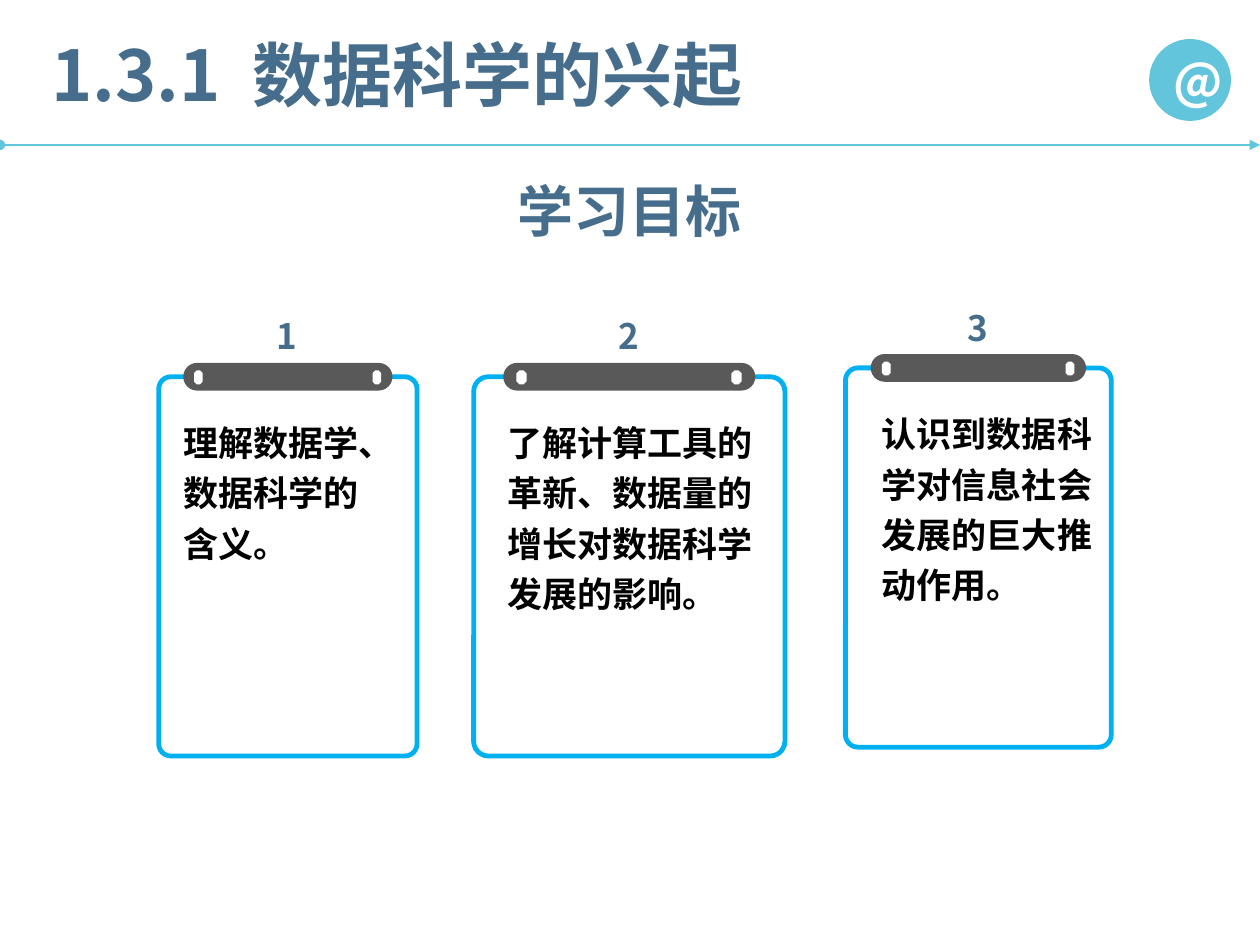
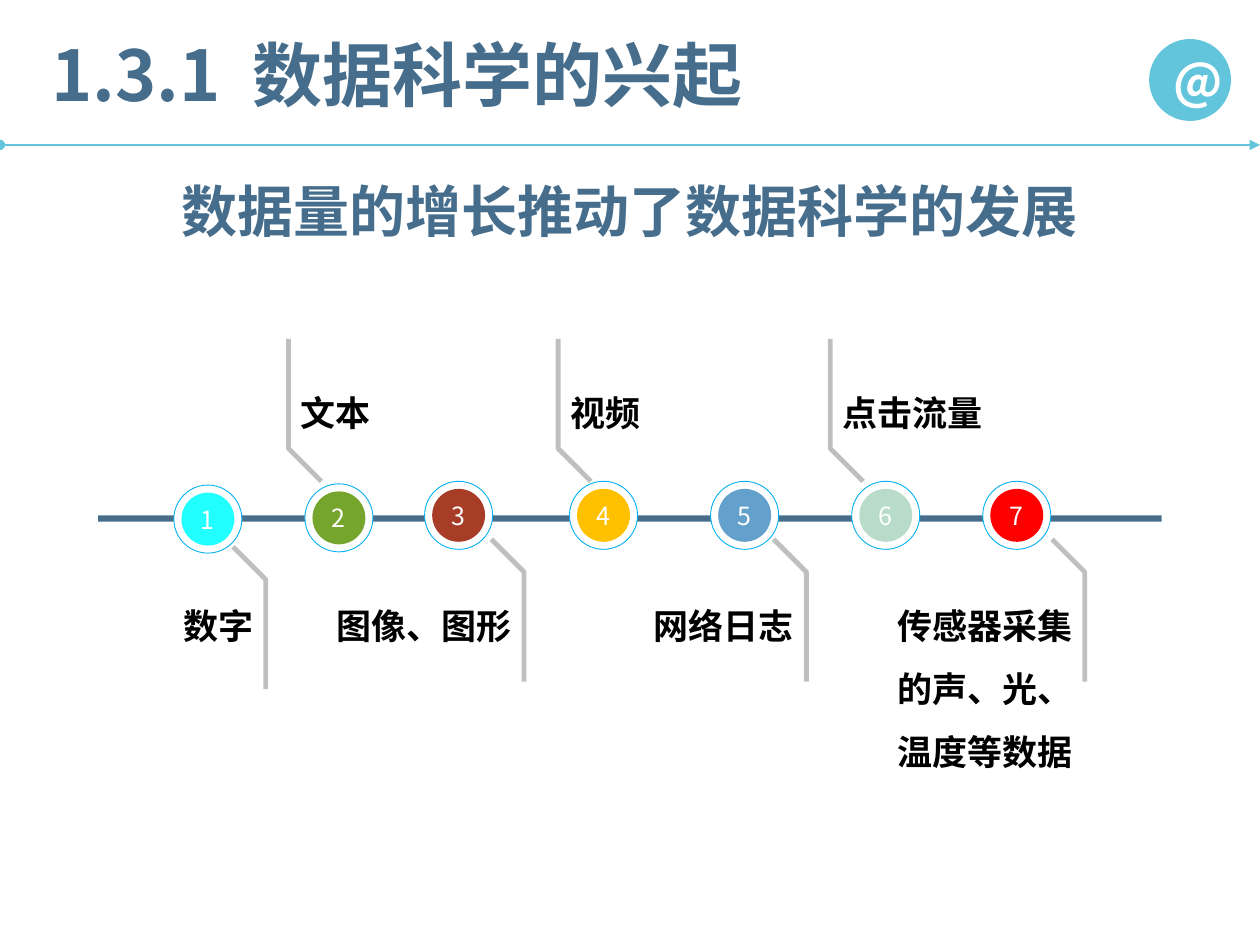
from collections import namedtuple

from lxml import etree
from pptx import Presentation
from pptx import util as u
from pptx.dml.color import RGBColor
from pptx.enum import shapes, text
from pptx.oxml.ns import qn

COLUMNS, ROWS = 10, 7.5
FONT = "Noto Sans CJK SC"
NAVY, TEAL, SKY = "466E8C", "62C5DC", "00B0F0"
DARK, GREY, WHITE, BLACK = "595959", "BFBFBF", "FFFFFF", "000000"
SECTION = ("1.3.1", " ", "数据科学的兴起")
RING, DISC = 0.54, 0.42
RING_TOP, BEND, ARM = 3.82, 0.26, 0.87
Shape, Align, Anchor = shapes.MSO_SHAPE, text.PP_ALIGN, text.MSO_ANCHOR

Card = namedtuple("Card", "number left top width text_left text_width words")
Stop = namedtuple("Stop", "left color label bend_x label_width lines lower drop", defaults=(1, 0, 0))

CARDS = [
    Card("1", 1.26, 2.99, 2.05, 1.36, 1.84, "理解数据学、数据科学的含义。"),
    Card("2", 3.76, 2.99, 2.47, 3.93, 2.19, "了解计算工具的革新、数据量的增长对数据科学发展的影响。"),
    Card("3", 6.71, 2.92, 2.11, 6.9, 1.92, "认识到数据科学对信息社会发展的巨大推动作用。"),
]
STOPS = [
    Stop(1.38, "22FFFF", "数字", 2.11, 0.94, lower=0.03, drop=0.03),
    Stop(2.42, "76A52E", "文本", 2.29, 1.38, lower=0.02),
    Stop(3.37, "A83D27", "图像、图形", 4.16, 1.72),
    Stop(4.52, "FFC000", "视频", 4.43, 1.57),
    Stop(5.64, "63A0CC", "网络日志", 6.4, 1.49),
    Stop(6.76, "B9DCCA", "点击流量", 6.59, 1.45),
    Stop(7.8, "FF0000", "传感器采集的声、光、温度等数据", 8.61, 1.79, lines=3),
]


def rgb(color):
    """Turn a hex string into a colour."""
    return RGBColor.from_string(color)


def grid(*cells):
    """Turn columns and rows of the one-inch grid into lengths."""
    return [u.Inches(cell) for cell in cells]


def write(shape, *runs, size=20, color=BLACK, bold=True, align=Align.LEFT,
          anchor=Anchor.TOP, spacing=1.0, inset=None):
    """Fill a shape with one formatted paragraph and return the paragraph."""
    frame = shape.text_frame
    frame.word_wrap = True
    frame.auto_size = text.MSO_AUTO_SIZE.NONE
    frame.vertical_anchor = anchor
    if inset is not None:
        frame.margin_left = frame.margin_right = u.Inches(inset)
        frame.margin_top = frame.margin_bottom = u.Inches(inset)
    paragraph = frame.paragraphs[0]
    paragraph.alignment, paragraph.line_spacing = align, spacing
    paragraph.space_before = u.Pt(0)
    for words in runs:
        run = paragraph.add_run()
        run.text = words
        run.font.size, run.font.bold, run.font.name = u.Pt(size), bold, FONT
        run.font.color.rgb = rgb(color)
        etree.SubElement(run._r.get_or_add_rPr(), qn("a:ea"), typeface=FONT)
    return paragraph


def add_text(container, box, words, **style):
    """Add a text box."""
    return write(container.add_textbox(*grid(*box)), words, **style)


def paint(shape, fill=None, line=None, width=1):
    """Set fill and outline, and drop the shadow."""
    shape.shadow.inherit = False
    if fill:
        shape.fill.solid()
        shape.fill.fore_color.rgb = rgb(fill)
    else:
        shape.fill.background()
    if line:
        shape.line.color.rgb = rgb(line)
        shape.line.width = u.Pt(width)
    else:
        shape.line.fill.background()
    return shape


def add_shape(container, kind, box, corner=None, **look):
    """Add a painted preset shape."""
    shape = container.add_shape(kind, *grid(*box))
    if corner is not None:
        shape.adjustments[0] = corner
    return paint(shape, **look)


def add_rule(slide):
    """Draw the arrow under the title."""
    rule = slide.shapes.add_connector(shapes.MSO_CONNECTOR.STRAIGHT, *grid(0, 1.15, COLUMNS, 1.15))
    rule.line.color.rgb = rgb(TEAL)
    rule.line.width = u.Pt(0.75)
    outline = rule.line._get_or_add_ln()
    etree.SubElement(outline, qn("a:headEnd"), type="oval")
    etree.SubElement(outline, qn("a:tailEnd"), type="triangle")
    etree.SubElement(rule._element.spPr, qn("a:effectLst"))


def add_slide(presentation, heading):
    """Add a slide with section title, arrow, badge and heading."""
    slide = presentation.slides.add_slide(presentation.slide_layouts[1])
    title, body = slide.placeholders
    title.left, title.top, title.width, title.height = grid(0.31, 0.2, 6.52, 0.77)
    paragraph = write(title, *SECTION, size=40, color=NAVY)
    paragraph.runs[1]._r.get_or_add_rPr().set("spc", "900")
    body.left, body.top, body.width, body.height = grid(0, 1.24, COLUMNS, 0.62)
    paragraph = write(body, heading, size=32, color=NAVY, align=Align.CENTER, spacing=1.2)
    properties = paragraph._p.get_or_add_pPr()
    properties.set("marL", "0")
    properties.set("indent", "0")
    etree.SubElement(properties, qn("a:buNone"))
    add_rule(slide)
    badge = add_shape(slide.shapes, Shape.OVAL, (9.12, 0.31, 0.65, 0.65), fill=TEAL)
    write(badge, "@", size=28, color=WHITE, align=Align.CENTER, anchor=Anchor.MIDDLE)
    return slide


def add_card(slide, card):
    """Draw a numbered clipboard with its goal."""
    left, top, width = card.left, card.top, card.width
    group = slide.shapes.add_group_shape().shapes
    add_text(group, (card.text_left, top + 0.24, card.text_width, 1.72), card.words, spacing=1.2)
    add_shape(group, Shape.ROUNDED_RECTANGLE, (left, top, width, 3.01), 0.047, line=SKY, width=2.75)
    add_shape(group, Shape.ROUNDED_RECTANGLE,
              (left + 0.095 * width, top - 0.11, 0.81 * width, 0.22), 0.5, fill=DARK)
    for share in (0.137, 0.828):
        add_shape(group, Shape.OCTAGON,
                  (left + share * width, top - 0.05, 0.033 * width, 0.11), 0.293, fill=WHITE)
    add_text(slide.shapes, (left + width / 2 - 0.71, top - 0.54, 1.41, 0.44), card.number,
             color=NAVY, align=Align.CENTER)


def add_marker(slide, number, stop):
    """Draw a numbered disc inside a ring."""
    group = slide.shapes.add_group_shape().shapes
    top, gap = RING_TOP + stop.lower, (RING - DISC) / 2
    add_shape(group, Shape.OVAL, (stop.left, top, RING, RING), fill=WHITE, line=SKY, width=0.5)
    disc = add_shape(group, Shape.OVAL, (stop.left + gap, top + gap, DISC, DISC), fill=stop.color)
    write(disc, str(number), size=14.3, color=WHITE, bold=False, align=Align.CENTER,
          anchor=Anchor.MIDDLE, inset=0)


def add_callout(slide, stop, above):
    """Draw the bent line of a stop and its label, above or below the axis."""
    direction = -1 if above else 1
    start = RING_TOP if above else RING_TOP + 0.46 + stop.lower + stop.drop
    bend = start + direction * BEND
    points = [(stop.bend_x, bend), (stop.bend_x - direction * BEND, start)]
    builder = slide.shapes.build_freeform(*grid(stop.bend_x, bend + direction * ARM))
    builder.add_line_segments([grid(*point) for point in points], close=False)
    paint(builder.convert_to_shape(), line=GREY, width=2.75)
    left = stop.bend_x if above else stop.bend_x - stop.label_width
    top = 2.89 if above else 4.58
    add_text(slide.shapes, (left, top, stop.label_width, 0.1 + 0.5 * stop.lines), stop.label,
             align=Align.LEFT if above else Align.RIGHT, spacing=1.5)


def add_timeline(slide):
    """Draw the axis with its stops, labels alternating below and above."""
    add_shape(slide.shapes, Shape.RECTANGLE, (0.78, 4.09, 8.44, 0.05), fill=NAVY)
    for number, stop in enumerate(STOPS, 1):
        add_marker(slide, number, stop)
        add_callout(slide, stop, above=number % 2 == 0)


def main():
    """Build and save the two slides."""
    presentation = Presentation()
    presentation.slide_width, presentation.slide_height = grid(COLUMNS, ROWS)
    goals = add_slide(presentation, "学习目标")
    for card in CARDS:
        add_card(goals, card)
    add_timeline(add_slide(presentation, "数据量的增长推动了数据科学的发展"))
    presentation.save("out.pptx")


if __name__ == "__main__":
    main()
